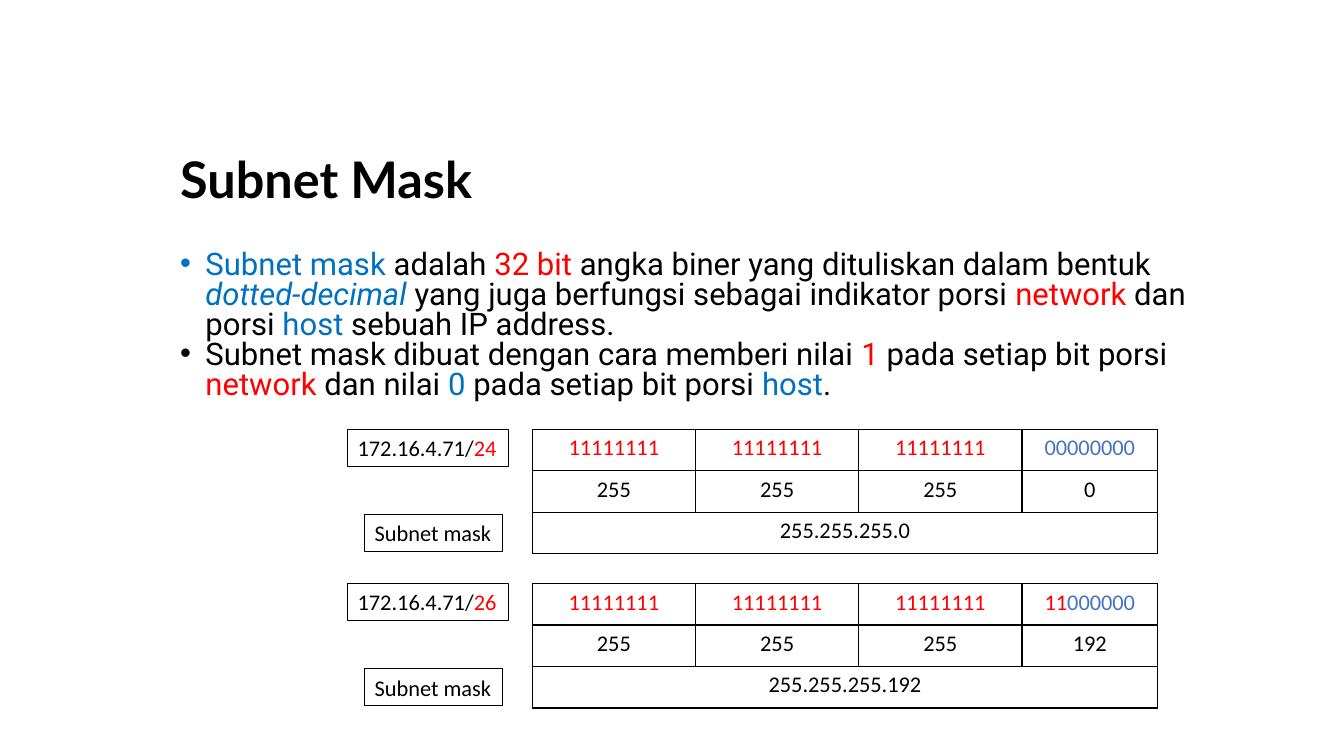
from dataclasses import dataclass
from lxml import etree
from pptx import Presentation
from pptx import util as u
from pptx.dml.color import RGBColor
from pptx.enum import shapes, text
from pptx.oxml import ns


@dataclass(frozen=True)
class Theme:
    black: str = "000000"
    red: str = "FF0000"
    blue: str = "0070C0"
    host: str = "4472C4"
    head: str = "Lato"
    body: str = "Roboto"
    small: str = "Calibri"
    big: float = 36
    mid: float = 22.2
    low: float = 16


class Deck:
    def __init__(self, theme):
        self.theme = theme
        self.file = Presentation()
        self.file.slide_width = u.Pt(960)
        self.file.slide_height = u.Pt(540)
        self.slide = self.file.slides.add_slide(self.file.slide_layouts[6])

    def put(self, para, runs, face, size, bold=False):
        for words, tint, *slant in runs:
            run = para.add_run()
            run.text = words
            run.font.color.rgb = RGBColor.from_string(tint)
            if slant:
                run.font.italic = True
        para.font.name = face
        para.font.size = u.Pt(size)
        para.font.bold = bold

    def frame(self, x, y, w, h):
        box = self.slide.shapes.add_textbox(*map(u.Pt, (x, y, w, h)))
        box.text_frame.word_wrap = True
        return box.text_frame

    def title(self, words, *area):
        frame = self.frame(*area)
        frame.vertical_anchor = text.MSO_ANCHOR.MIDDLE
        para = frame.paragraphs[0]
        para.line_spacing = 0.9
        self.put(para, [(words, self.theme.black)],
                 self.theme.head, self.theme.big, True)

    def bullets(self, items, *area):
        frame = self.frame(*area)
        for i, runs in enumerate(items):
            para = frame.add_paragraph() if i else frame.paragraphs[0]
            para.line_spacing = 0.8
            props = para._p.get_or_add_pPr()
            props.set("marL", str(u.Pt(18)))
            props.set("indent", str(-u.Pt(18)))
            font = etree.SubElement(props, ns.qn("a:buFont"))
            font.set("typeface", "Arial")
            mark = etree.SubElement(props, ns.qn("a:buChar"))
            mark.set("char", "•")
            self.put(para, runs, self.theme.body, self.theme.mid)

    def label(self, runs, *area):
        box = self.slide.shapes.add_shape(
            shapes.MSO_SHAPE.RECTANGLE, *map(u.Pt, area))
        box.shadow.inherit = False
        box.fill.background()
        box.line.color.rgb = RGBColor.from_string(self.theme.black)
        box.line.width = u.Pt(0.75)
        frame = box.text_frame
        frame.word_wrap = False
        frame.auto_size = text.MSO_AUTO_SIZE.SHAPE_TO_FIT_TEXT
        frame.vertical_anchor = text.MSO_ANCHOR.TOP
        para = frame.paragraphs[0]
        para.alignment = text.PP_ALIGN.LEFT
        self.put(para, runs, self.theme.small, self.theme.low)

    def border(self, cell):
        props = cell._tc.get_or_add_tcPr()
        for i, side in enumerate(("lnL", "lnR", "lnT", "lnB")):
            line = etree.Element(ns.qn("a:" + side), w=str(u.Pt(1)))
            fill = etree.SubElement(line, ns.qn("a:solidFill"))
            etree.SubElement(fill, ns.qn("a:srgbClr"), val=self.theme.black)
            props.insert(i, line)

    def table(self, rows, cols, x, y, high):
        area = (x, y, sum(cols), high * len(rows))
        grid = self.slide.shapes.add_table(
            len(rows), len(cols), *map(u.Pt, area)).table
        grid.first_row = grid.horz_banding = False
        for col, wide in zip(grid.columns, cols):
            col.width = u.Pt(wide)
        for r, cells in enumerate(rows):
            grid.rows[r].height = u.Pt(high)
            for c in range(len(cols)):
                cell = grid.cell(r, c)
                cell.fill.background()
                self.border(cell)
                para = cell.text_frame.paragraphs[0]
                para.alignment = text.PP_ALIGN.CENTER
                runs = cells[c] if c < len(cells) else []
                self.put(para, runs, self.theme.small, self.theme.low)
            if len(cells) == 1:
                grid.cell(r, 0).merge(grid.cell(r, len(cols) - 1))

    def mask(self, bits, y):
        t = self.theme
        octets, values = [], []
        for start in range(0, 32, 8):
            ones = min(8, max(0, bits - start))
            parts = [("1" * ones, t.red), ("0" * (8 - ones), t.host)]
            octets.append([part for part in parts if part[0]])
            values.append(str(256 - 2 ** (8 - ones)))
        rows = [octets, [[(v, t.black)] for v in values],
                [[(".".join(values), t.black)]]]
        self.label([("172.16.4.71/", t.black), (str(bits), t.red)],
                   248.4, y, 115.2, 26.6)
        self.table(rows, [116.6] * 3 + [97], 380.2, y, 29.6)
        self.label([("Subnet mask", t.black)], 260.6, y + 60.8, 98.6, 26.6)


def main():
    t = Theme()
    deck = Deck(t)
    deck.title("Subnet Mask", 121.7, 97.9, 767.5, 64.1)
    deck.bullets([
        [("Subnet mask ", t.blue), ("adalah ", t.black), ("32 bit ", t.red),
         ("angka biner yang dituliskan dalam bentuk ", t.black),
         ("dotted-decimal", t.blue, True),
         (" yang juga berfungsi sebagai indikator porsi ", t.black),
         ("network", t.red), (" dan porsi ", t.black), ("host ", t.blue),
         ("sebuah IP address.", t.black)],
        [("Subnet mask dibuat dengan cara memberi nilai ", t.black),
         ("1", t.red), (" pada setiap bit porsi ", t.black),
         ("network", t.red), (" dan nilai ", t.black), ("0", t.blue),
         (" pada setiap bit porsi ", t.black), ("host", t.blue),
         (".", t.black)],
    ], 121.7, 176.4, 767.5, 115.9)
    for i, bits in enumerate((24, 26)):
        deck.mask(bits, 306.7 + i * 110.2)
    deck.file.save("out.pptx")


if __name__ == "__main__":
    main()
